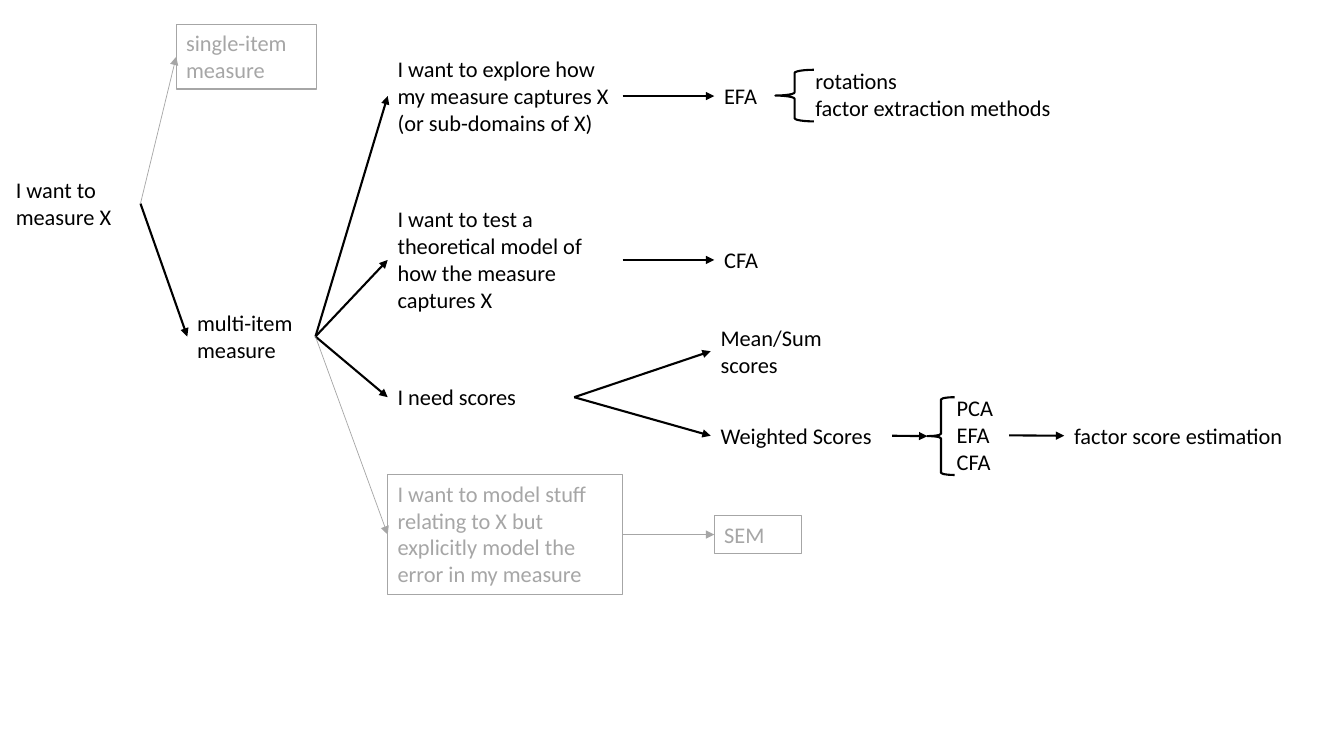
from dataclasses import dataclass

from lxml import etree
from pptx import Presentation
from pptx.dml.color import RGBColor
from pptx.enum.shapes import MSO_CONNECTOR, MSO_SHAPE
from pptx.enum.text import MSO_AUTO_SIZE
from pptx.oxml.ns import qn
from pptx.shapes.autoshape import Shape
from pptx.slide import Slide
from pptx.util import Cm, Pt

STRAIGHT = MSO_CONNECTOR.STRAIGHT
LEFT_BRACE = MSO_SHAPE.LEFT_BRACE
FIT_SHAPE = MSO_AUTO_SIZE.SHAPE_TO_FIT_TEXT
LEFT_SIDE, RIGHT_SIDE = 1, 3

COLORS = {"active": "000000", "muted": "A6A6A6"}
FONT_NAME = "Calibri"
FONT_SIZE = 16
LINE_HEIGHT = 0.69
VERTICAL_INSETS = 0.25


@dataclass
class Step:
    key: str
    text: str
    left: float
    middle: float
    width: float
    lines: int = 1
    muted: bool = False


@dataclass
class Brace:
    key: str
    left: float
    middle: float
    width: float
    height: float


@dataclass
class Arrow:
    start: str
    end: str
    muted: bool = False


STEPS = [
    Step("measure", "I want to measure X", 0.15, 5.13, 3.39, 2),
    Step("multi", "multi-item measure", 4.72, 8.48, 3.23, 2),
    Step("single", "single-item measure", 4.44, 1.43, 3.53, 2, True),
    Step("scores", "I need scores", 9.77, 10.01, 4.7),
    Step("model", "I want to model stuff relating to X but\n"
         "explicitly model the error in my measure", 9.77, 13.47, 5.92, 4, True),
    Step("explore", "I want to explore how my measure captures X (or sub-domains of X)",
         9.77, 2.42, 5.92, 3),
    Step("test", "I want to test a theoretical model of how the measure captures X",
         9.77, 6.55, 5.92, 4),
    Step("efa", "EFA", 18, 2.42, 2.19),
    Step("cfa", "CFA", 18, 6.55, 2.19),
    Step("sem", "SEM", 18, 13.47, 2.19, 1, True),
    Step("efa choices", "rotations\nfactor extraction methods", 20.3, 2.39, 7.92, 2),
    Step("mean", "Mean/Sum scores", 17.91, 8.85, 4.57, 2),
    Step("weighted", "Weighted Scores", 17.91, 10.98, 4.57),
    Step("methods", "PCA\nEFA\nCFA", 23.86, 10.97, 1.57, 3),
    Step("estimation", "factor score estimation", 26.82, 10.98, 6.4),
]

BRACES = [
    Brace("efa brace", 19.54, 2.41, 0.97, 1.3),
    Brace("methods brace", 23.37, 10.99, 0.69, 1.96),
]

ARROWS = [
    Arrow("measure", "multi"),
    Arrow("measure", "single", True),
    Arrow("multi", "explore"),
    Arrow("multi", "test"),
    Arrow("multi", "scores"),
    Arrow("multi", "model", True),
    Arrow("explore", "efa"),
    Arrow("test", "cfa"),
    Arrow("model", "sem", True),
    Arrow("scores", "mean"),
    Arrow("scores", "weighted"),
    Arrow("weighted", "methods brace"),
    Arrow("methods", "estimation"),
]


def get_color(muted: bool) -> RGBColor:
    return RGBColor.from_string(COLORS["muted" if muted else "active"])


def draw_step(slide: Slide, step: Step) -> Shape:
    height = VERTICAL_INSETS + LINE_HEIGHT * step.lines
    shape = slide.shapes.add_textbox(
        Cm(step.left), Cm(step.middle - height / 2), Cm(step.width), Cm(height))
    if step.muted:
        shape.line.color.rgb = get_color(True)
        shape.line.width = Pt(0.75)
    frame = shape.text_frame
    frame.word_wrap = True
    frame.auto_size = FIT_SHAPE
    frame.text = step.text
    for paragraph in frame.paragraphs:
        paragraph.font.name = FONT_NAME
        paragraph.font.size = Pt(FONT_SIZE)
        paragraph.font.color.rgb = get_color(step.muted)
    return shape


def draw_brace(slide: Slide, brace: Brace) -> Shape:
    shape = slide.shapes.add_shape(
        LEFT_BRACE, Cm(brace.left), Cm(brace.middle - brace.height / 2),
        Cm(brace.width), Cm(brace.height))
    shape.shadow.inherit = False
    shape.fill.background()
    shape.line.color.rgb = get_color(False)
    shape.line.width = Pt(1.5)
    return shape


def draw_arrow(slide: Slide, arrow: Arrow, shapes: dict[str, Shape]) -> None:
    start, end = shapes[arrow.start], shapes[arrow.end]
    connector = slide.shapes.add_connector(
        STRAIGHT, start.left + start.width, start.top + start.height // 2,
        end.left, end.top + end.height // 2)
    connector.begin_connect(start, RIGHT_SIDE)
    connector.end_connect(end, LEFT_SIDE)
    connector.line.color.rgb = get_color(arrow.muted)
    connector.line.width = Pt(0.5 if arrow.muted else 1.5)
    properties = connector._element.spPr
    etree.SubElement(properties.find(qn("a:ln")), qn("a:tailEnd"), type="triangle")
    etree.SubElement(properties, qn("a:effectLst"))


def main() -> None:
    presentation = Presentation()
    presentation.slide_width = Cm(33.87)
    presentation.slide_height = Cm(19.05)
    slide = presentation.slides.add_slide(presentation.slide_layouts[6])
    shapes = {step.key: draw_step(slide, step) for step in STEPS}
    shapes.update({brace.key: draw_brace(slide, brace) for brace in BRACES})
    for arrow in ARROWS:
        draw_arrow(slide, arrow, shapes)
    presentation.save("out.pptx")


if __name__ == "__main__":
    main()
